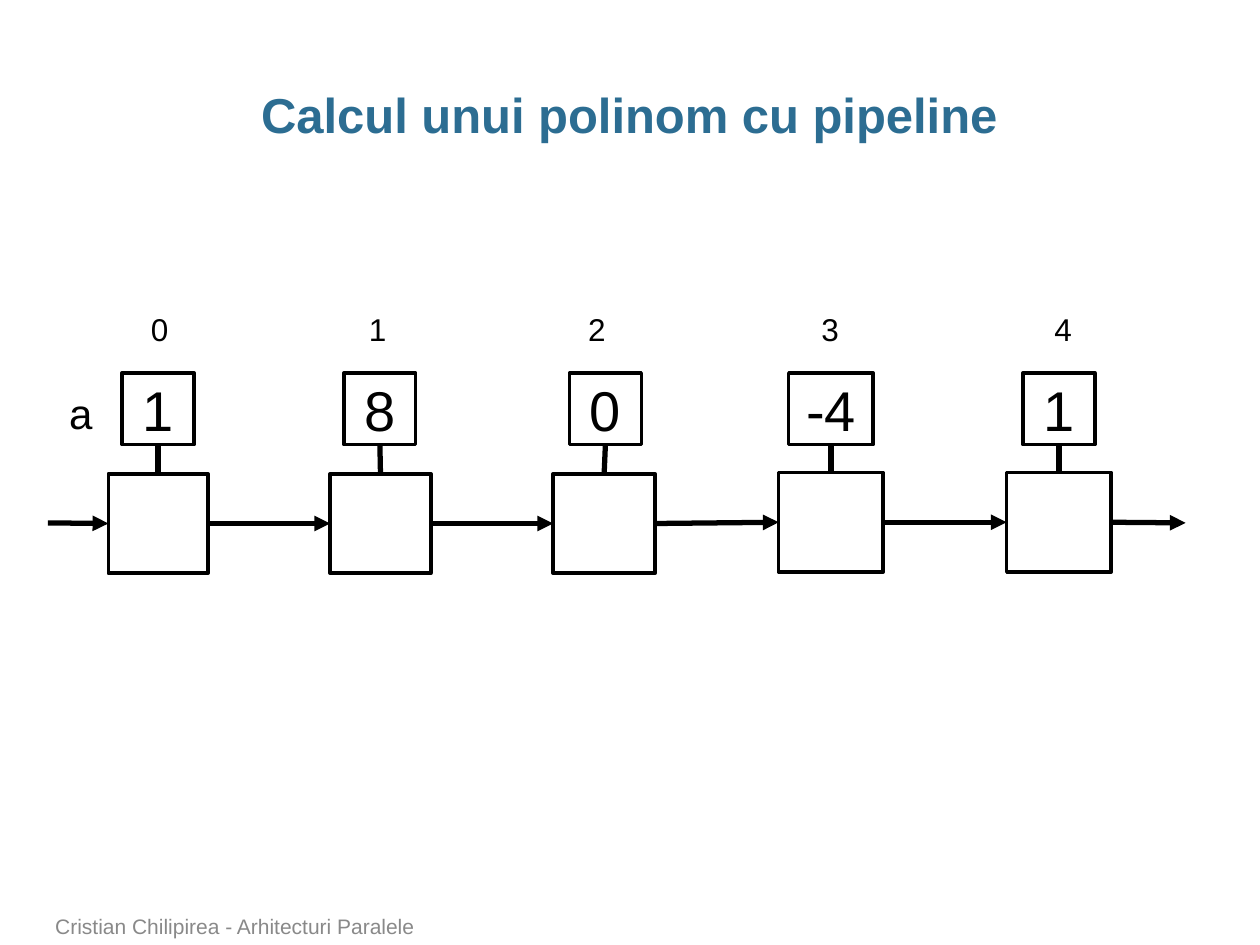
import pptx
import pptx.util
import pptx.dml.color
import pptx.enum.shapes
import pptx.enum.text
import pptx.oxml.ns
import lxml.etree

COLORS = {"title": "2C6D92", "ink": "000000", "footer": "898989"}
FONT = "Arial"
TITLE = "Calcul unui polinom cu pipeline"
FOOTER = "Cristian Chilipirea - Arhitecturi Paralele"
ARRAY_NAME = "a"

STAGES = [
    {"coefficient": "1", "left": 0.86, "top": 3.76, "width": 0.79, "cell": (0.97, 0.57), "index_left": 1.10},
    {"coefficient": "8", "left": 2.62, "top": 3.76, "width": 0.80, "cell": (2.73, 0.57), "index_left": 2.83},
    {"coefficient": "0", "left": 4.39, "top": 3.76, "width": 0.81, "cell": (4.52, 0.57), "index_left": 4.57},
    {"coefficient": "-4", "left": 6.18, "top": 3.75, "width": 0.83, "cell": (6.26, 0.67), "index_left": 6.42},
    {"coefficient": "1", "left": 7.99, "top": 3.75, "width": 0.83, "cell": (8.12, 0.57), "index_left": 8.27},
]
STAGE_HEIGHT = 0.79
CELL_TOP, CELL_HEIGHT = 2.96, 0.57
INDEX_TOP = 2.41
INPUT_POINT = (0.38, 4.15)
OUTPUT_POINT = (9.41, 4.15)
TOP, LEFT, BOTTOM, RIGHT = range(4)

Inches = pptx.util.Inches
ALIGN = pptx.enum.text.PP_ALIGN
ANCHOR = pptx.enum.text.MSO_ANCHOR


def color(name):
    return pptx.dml.color.RGBColor.from_string(COLORS[name])


def write(shape, text, size, ink="ink", bold=False, align=ALIGN.LEFT):
    para = shape.text_frame.paragraphs[0]
    para.alignment = align
    span = para.add_run()
    span.text = text
    span.font.name = FONT
    span.font.size = pptx.util.Pt(size)
    span.font.bold = bold
    span.font.color.rgb = color(ink)
    return para


def add_text(page, place, anchor, wrap=True):
    box = page.shapes.add_textbox(*map(Inches, place))
    box.text_frame.word_wrap = wrap
    box.text_frame.vertical_anchor = anchor
    return box


def add_label(page, text, size, place):
    box = add_text(page, place, ANCHOR.TOP, wrap=False)
    box.text_frame.auto_size = pptx.enum.text.MSO_AUTO_SIZE.SHAPE_TO_FIT_TEXT
    write(box, text, size)


def add_square(page, place):
    square = page.shapes.add_shape(pptx.enum.shapes.MSO_SHAPE.RECTANGLE, *map(Inches, place))
    square.shadow.inherit = False
    square.fill.background()
    square.line.color.rgb = color("ink")
    square.line.width = pptx.util.Pt(2)
    return square


def add_link(page, start, end, arrow=False):
    link = page.shapes.add_connector(
        pptx.enum.shapes.MSO_CONNECTOR.STRAIGHT,
        *map(Inches, INPUT_POINT), *map(Inches, OUTPUT_POINT))
    if start:
        link.begin_connect(*start)
    if end:
        link.end_connect(*end)
    link.line.color.rgb = color("ink")
    link.line.width = pptx.util.Pt(3)
    if arrow:
        line = link.line._get_or_add_ln()
        lxml.etree.SubElement(line, pptx.oxml.ns.qn("a:tailEnd"), type="triangle")
    lxml.etree.SubElement(link._element.spPr, pptx.oxml.ns.qn("a:effectLst"))


def add_stage(page, index, stage):
    square = add_square(page, (stage["left"], stage["top"], stage["width"], STAGE_HEIGHT))
    cell_left, cell_width = stage["cell"]
    cell = add_square(page, (cell_left, CELL_TOP, cell_width, CELL_HEIGHT))
    cell.text_frame.vertical_anchor = ANCHOR.MIDDLE
    write(cell, stage["coefficient"], 32, align=ALIGN.CENTER)
    add_label(page, str(index), 18, (stage["index_left"], INDEX_TOP, 0.34, 0.4))
    add_link(page, (square, TOP), (cell, BOTTOM))
    return square


def main():
    deck = pptx.Presentation()
    deck.slide_width, deck.slide_height = Inches(10), Inches(7.5)
    page = deck.slides.add_slide(deck.slide_layouts[6])

    title = add_text(page, (0.34, 0.68, 9.31, 0.5), ANCHOR.MIDDLE)
    title.text_frame.margin_left = title.text_frame.margin_right = 0
    write(title, TITLE, 28, "title", True, ALIGN.CENTER).line_spacing = 0.95

    squares = [add_stage(page, index, stage) for index, stage in enumerate(STAGES)]
    starts = [None] + [(square, RIGHT) for square in squares]
    ends = [(square, LEFT) for square in squares] + [None]
    for start, end in zip(starts, ends):
        add_link(page, start, end, arrow=True)

    add_label(page, ARRAY_NAME, 24, (0.45, 3.03, 0.39, 0.5))
    footer = add_text(page, (0.34, 7.22, 7.37, 0.28), ANCHOR.BOTTOM)
    write(footer, FOOTER, 12, "footer")
    deck.save("out.pptx")


if __name__ == "__main__":
    main()
